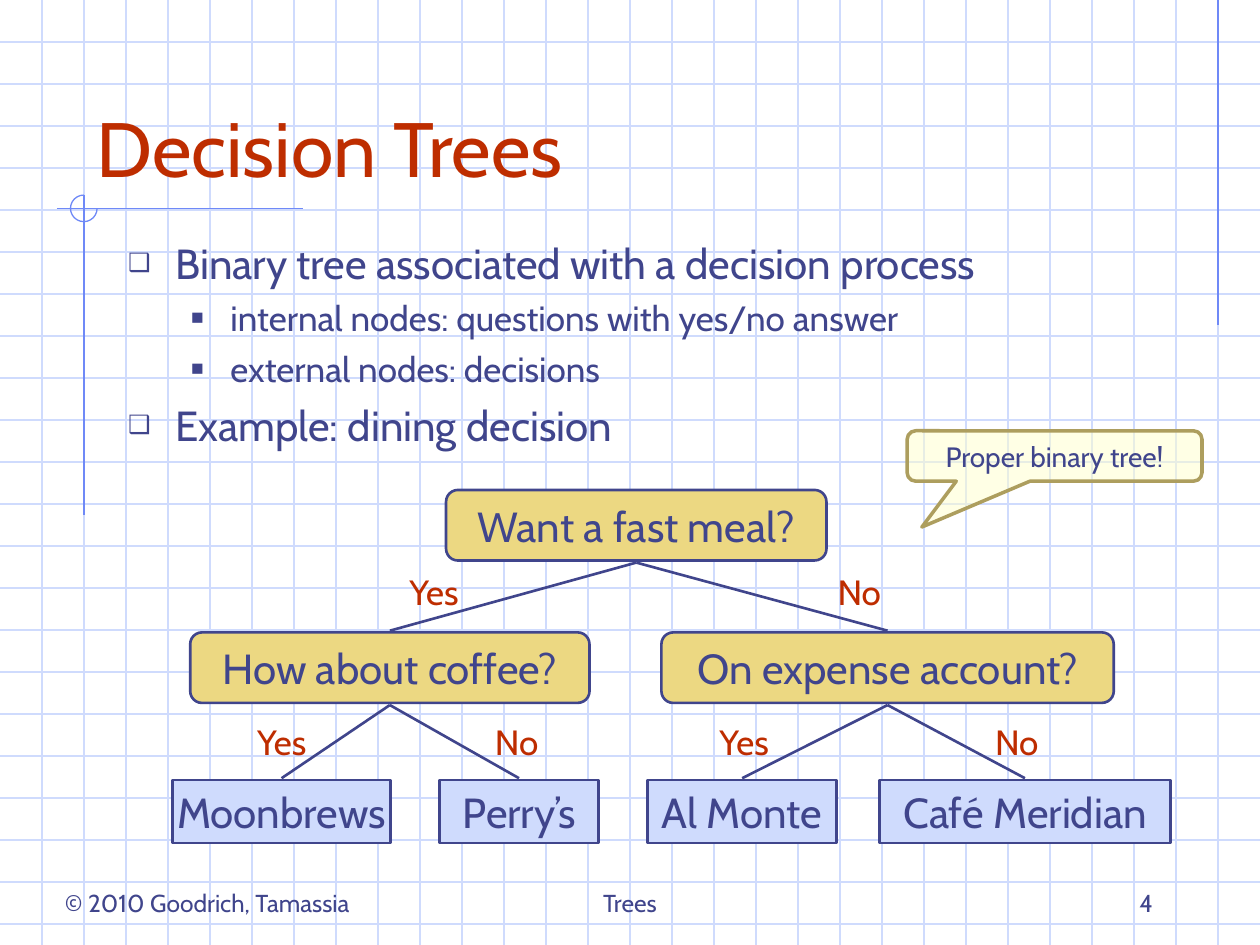
from lxml.etree import SubElement
from pptx import Presentation
from pptx.dml.color import RGBColor
from pptx.enum.shapes import MSO_CONNECTOR, MSO_SHAPE as SHAPE
from pptx.enum.text import MSO_ANCHOR as ANCHOR, MSO_AUTO_SIZE, PP_ALIGN as ALIGN
from pptx.oxml.ns import qn
from pptx.util import Pt

# Content
TITLE = "Decision Trees"
BULLETS = [
    (0, "Binary tree associated with a decision process"),
    (1, "internal nodes: questions with yes/no answer"),
    (1, "external nodes: decisions"),
    (0, "Example: dining decision"),
]
# Each node: text, centre x, width, children as (answer, answer centre x, node)
TREE = ("Want a fast meal?", 363.6, 217.4, [
    ("Yes", 248, ("How about coffee?", 222.8, 228.2, [
        ("Yes", 161, ("Moonbrews", 160.9, 124.6, [])),
        ("No", 295.2, ("Perry’s", 296.6, 90.7, [])),
    ])),
    ("No", 491, ("On expense account?", 507.2, 258.5, [
        ("Yes", 425.2, ("Al Monte", 424.1, 108, [])),
        ("No", 581, ("Café Meridian", 585.7, 166.3, [])),
    ])),
])
CALLOUT = "Proper binary tree!"
FOOTERS = [  # text, left, width, alignment
    ("© 2010 Goodrich, Tamassia", 30, 198, ALIGN.LEFT),
    ("Trees", 246, 228, ALIGN.CENTER),
    ("4", 516, 150, ALIGN.RIGHT),
]

# Style and layout
FONT = "Cabin"
COLORS = {"text": "40458C", "accent": "BE2D00", "grid": "CFDBFD", "rule": "6F89F7",
          "question": "ECD882", "decision": "CFDBFD",
          "callout": "FFFFCC", "callout_line": "AD9E5E"}
WIDTH, HEIGHT, STEP = 720, 540, 24
LEVEL_TOPS = [280, 361.4, 445.7]
LABEL_TOPS = [322.6, 408.2]
QUESTION_H, DECISION_H = 40.3, 36
LEVELS = [("❑", 27, -27, 24, 6), ("■", 58.5, -22.5, 20, 5)]  # bullet, margin, indent, size, space


def color(name):
    return RGBColor.from_string(COLORS[name])


def format_text(sp, size, name="text", align=ALIGN.CENTER, anchor=ANCHOR.MIDDLE, wrap=False):
    tf = sp.text_frame
    tf.auto_size = MSO_AUTO_SIZE.NONE
    tf.word_wrap, tf.vertical_anchor = wrap, anchor
    for p in tf.paragraphs:
        p.alignment = align
        for r in p.runs:
            r.font.name, r.font.size = FONT, Pt(size)
            r.font.color.rgb = color(name)


def add_line(s, x1, y1, x2, y2, name, width=0.75):
    line = s.shapes.add_connector(MSO_CONNECTOR.STRAIGHT, Pt(x1), Pt(y1), Pt(x2), Pt(y2))
    line.line.color.rgb, line.line.width = color(name), Pt(width)
    SubElement(line._element.spPr, qn("a:effectLst"))


def add_shape(s, kind, x, y, w, h, fill, line, width):
    sp = s.shapes.add_shape(kind, Pt(x), Pt(y), Pt(w), Pt(h))
    sp.shadow.inherit = False
    if fill:
        sp.fill.solid()
        sp.fill.fore_color.rgb = color(fill)
    else:
        sp.fill.background()
    sp.line.color.rgb, sp.line.width = color(line), Pt(width)
    return sp


def add_label(s, text, x, y, w, h, size, **style):
    sp = s.shapes.add_textbox(Pt(x), Pt(y), Pt(w), Pt(h))
    sp.text_frame.text = text
    format_text(sp, size, **style)


def add_node(s, node, depth=0):
    text, cx, w, children = node
    kind, fill, h = ((SHAPE.ROUNDED_RECTANGLE, "question", QUESTION_H) if children
                     else (SHAPE.RECTANGLE, "decision", DECISION_H))
    top = LEVEL_TOPS[depth]
    sp = add_shape(s, kind, cx - w / 2, top, w, h, fill, "text", 1.5)
    sp.text_frame.text = text
    format_text(sp, 24)
    for answer, answer_x, child in children:
        add_line(s, cx, top + h + 1.2, child[1], LEVEL_TOPS[depth + 1] - 1, "text", 1.5)
        add_label(s, answer, answer_x - 23, LABEL_TOPS[depth], 46, 31.7, 20,
                  name="accent", anchor=ANCHOR.TOP)
        add_node(s, child, depth + 1)


def place(s, sp, x, y, w, h):
    sp.left, sp.top, sp.width, sp.height = Pt(x), Pt(y), Pt(w), Pt(h)
    s.shapes._spTree.append(sp._element)  # bring in front of the grid


def format_bullet(p, level):
    char, margin, indent, size, space = LEVELS[level]
    p.level = level
    pPr = p._p.get_or_add_pPr()
    pPr.set("marL", str(Pt(margin)))
    pPr.set("indent", str(Pt(indent)))
    SubElement(SubElement(pPr, qn("a:buClr")), qn("a:srgbClr"), val=COLORS["text"])
    SubElement(pPr, qn("a:buSzPct"), val="60000")
    SubElement(pPr, qn("a:buChar"), char=char)
    p.space_before = Pt(space)
    for r in p.runs:
        r.font.size = Pt(size)


def main():
    prs = Presentation()
    prs.slide_width, prs.slide_height = Pt(WIDTH), Pt(HEIGHT)
    s = prs.slides.add_slide(prs.slide_layouts[1])

    # Grid paper
    for y in range(STEP, HEIGHT, STEP):
        add_line(s, 0, y, WIDTH, y, "grid")
    for x in range(STEP, WIDTH, STEP):
        add_line(s, x, 0, x, HEIGHT, "grid")

    # Ruled lines and open circle
    add_line(s, 696, 0, 696, 186, "rule")
    add_line(s, 32.5, 119.3, 173, 119.3, "rule")
    add_line(s, 48, 111.5, 48, 294.5, "rule")
    arc = add_shape(s, SHAPE.ARC, 40.3, 111.5, 15.2, 15.2, None, "rule", 0.75)
    arc.adjustments[0], arc.adjustments[1] = 0, 162  # 0 to 270 degrees

    # Title and bullets
    title, body = s.shapes.title, s.placeholders[1]
    place(s, title, 48, 24, 612, 90)
    title.text_frame.text = TITLE
    format_text(title, 44, "accent", ALIGN.LEFT, ANCHOR.BOTTOM, True)
    place(s, body, 66, 132, 612, 144)
    body.text_frame.text = "\n".join(text for _, text in BULLETS)
    format_text(body, 24, "text", ALIGN.LEFT, ANCHOR.TOP, True)
    for p, (level, _) in zip(body.text_frame.paragraphs, BULLETS):
        format_bullet(p, level)
    body.text_frame.paragraphs[0].space_before = Pt(0)

    # Decision tree
    add_node(s, TREE)

    # Callout with half-transparent fill
    sp = add_shape(s, SHAPE.ROUNDED_RECTANGULAR_CALLOUT, 518.4, 246.2, 168.5, 28.8,
                   "callout", "callout_line", 2)
    for i, value in enumerate((-0.45, 1.41, 0.17)):
        sp.adjustments[i] = value
    fill = sp._element.spPr.find(qn("a:solidFill"))
    SubElement(fill[0], qn("a:alpha"), val="50000")
    sp.text_frame.text = CALLOUT
    format_text(sp, 16)

    # Footer
    for text, x, w, align in FOOTERS:
        add_label(s, text, x, 492, w, 36, 14, align=align, anchor=ANCHOR.BOTTOM, wrap=True)

    prs.save("out.pptx")


if __name__ == "__main__":
    main()
